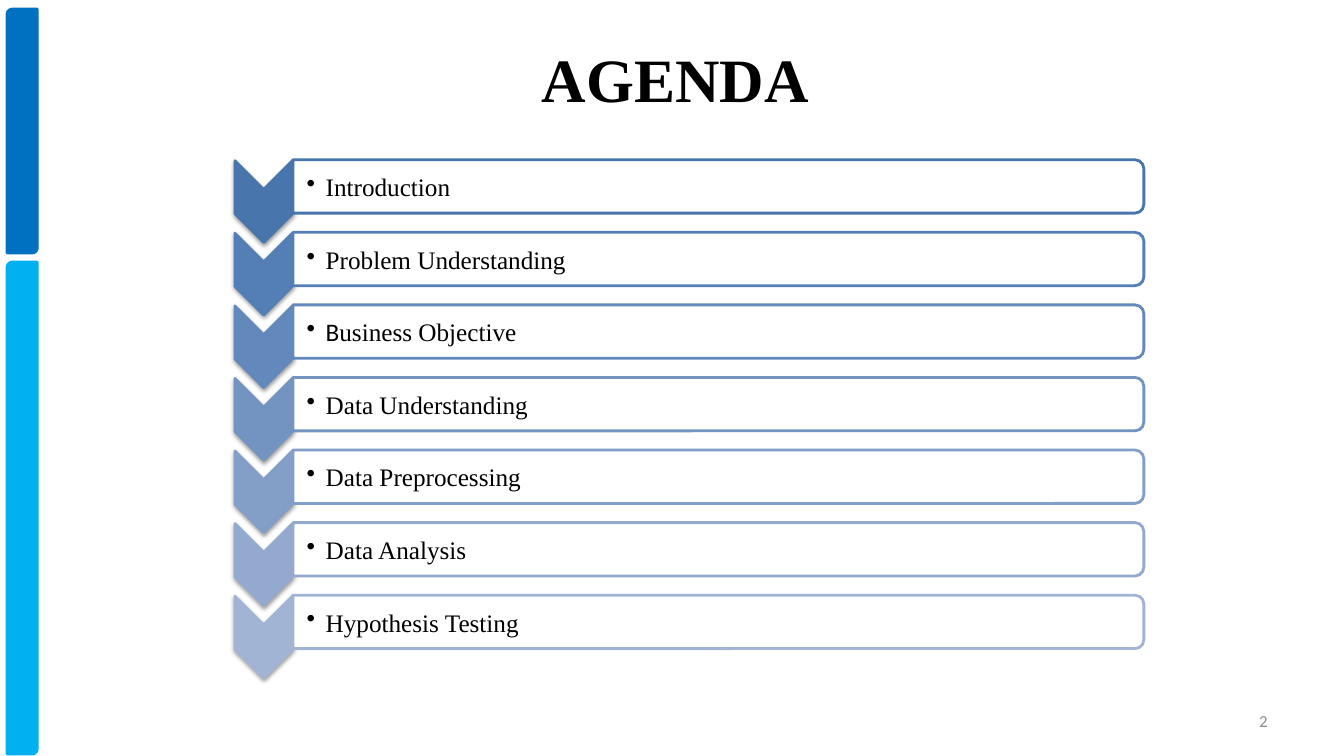
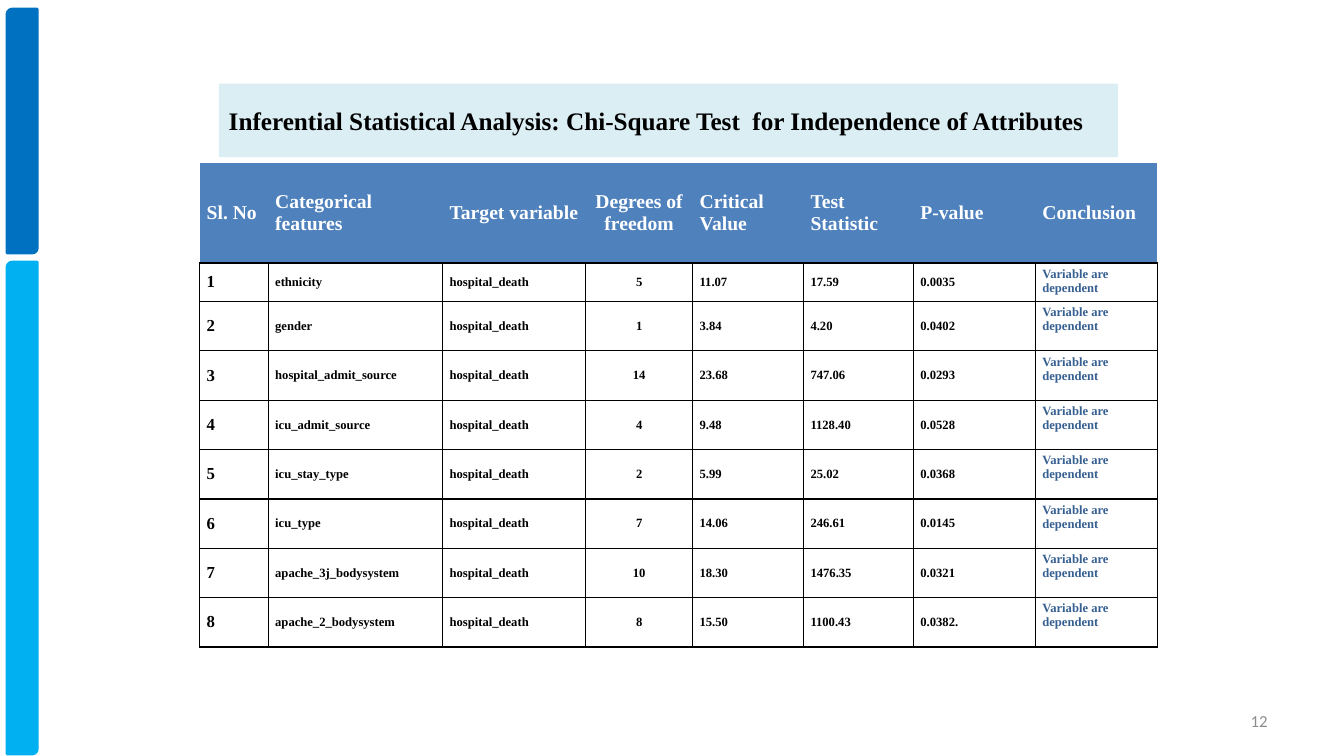
"""Build an agenda slide and a chi-square results slide."""
from lxml import etree
from pptx import Presentation
from pptx.dml.color import RGBColor
from pptx.enum.shapes import MSO_SHAPE
from pptx.enum.text import MSO_ANCHOR, PP_ALIGN
from pptx.oxml.ns import qn
from pptx.util import Inches, Pt

DIAG = MSO_SHAPE.ROUND_2_DIAG_RECTANGLE
TAB = MSO_SHAPE.ROUND_2_SAME_RECTANGLE
CHEVRON = MSO_SHAPE.CHEVRON
TOP, MID = MSO_ANCHOR.TOP, MSO_ANCHOR.MIDDLE
LEFT, CENTER, RIGHT = PP_ALIGN.LEFT, PP_ALIGN.CENTER, PP_ALIGN.RIGHT

THEME = {
    "serif": "Times New Roman", "sans": "Calibri",
    "black": "000000", "white": "FFFFFF", "gray": "8C8C8C",
    "pale": "DBEEF4", "head": "4F81BD", "note": "376092",
    "title": 44, "body": 18, "label": 14, "small": 12, "tiny": 9,
}

BANDS = [(0.09, 2.42, "0070C0"), (2.6, 4.88, "00B0F0")]

AGENDA = [
    ("4875AC", [("Introduction", "serif")]),
    ("537FB6", [("Problem Understanding", "serif")]),
    ("6389BC", [("B", "sans"), ("usiness Objective", "serif")]),
    ("7393C1", [("Data Understanding", "serif")]),
    ("839EC7", [("Data Preprocessing", "serif")]),
    ("93A9CE", [("Data Analysis", "serif")]),
    ("A2B4D4", [("Hypothesis Testing", "serif")]),
]
FIRST, STEP = 1.85, 0.72

TESTS_TITLE = ("Inferential Statistical Analysis: Chi-Square Test  "
               "for Independence of Attributes")
HEADS = ["Sl. No", "Categorical features", "Target variable",
         "Degrees of freedom", "Critical Value", "Test Statistic",
         "P-value", "Conclusion"]
TARGET, RESULT = "hospital_death", "Variable are dependent"
TESTS = [
    ("ethnicity", "5", "11.07", "17.59", "0.0035"),
    ("gender", "1", "3.84", "4.20", "0.0402"),
    ("hospital_admit_source", "14", "23.68", "747.06", "0.0293"),
    ("icu_admit_source", "4", "9.48", "1128.40", "0.0528"),
    ("icu_stay_type", "2", "5.99", "25.02", "0.0368"),
    ("icu_type", "7", "14.06", "246.61", "0.0145"),
    ("apache_3j_bodysystem", "10", "18.30", "1476.35", "0.0321"),
    ("apache_2_bodysystem", "8", "15.50", "1100.43", "0.0382."),
]
COLS = [0.68, 1.73, 1.42, 1.06, 1.1, 1.09, 1.21, 1.21]
ROWS = [0.99, 0.37] + [0.49] * 7
FREEDOM, VERDICT = 3, 7


def rgb(code):
    return RGBColor.from_string(code)


def assign(item, values):
    for name, value in values.items():
        setattr(item, name, value)


def child(parent, tag, **attrs):
    return etree.SubElement(parent, qn(tag), attrs)


def write(frame, runs, size, color="black", bold=False, align=LEFT):
    para = frame.paragraphs[0]
    para.alignment = align
    for text, face in runs:
        run = para.add_run()
        run.text = text
        assign(run.font, {"name": THEME[face], "size": Pt(THEME[size]),
                          "bold": bold})
        run.font.color.rgb = rgb(THEME[color])
    return para


def add_text(slide, box, runs, size, **style):
    shape = slide.shapes.add_textbox(*map(Inches, box))
    assign(shape.text_frame, {"word_wrap": True, "vertical_anchor": MID})
    return shape, write(shape.text_frame, runs, size, **style)


def add_block(slide, kind, box, fill, line, turn=0):
    shape = slide.shapes.add_shape(kind, *map(Inches, box))
    shape.rotation = turn
    shape.shadow.inherit = False
    shape.fill.solid()
    shape.fill.fore_color.rgb = rgb(fill)
    shape.line.color.rgb = rgb(line)
    shape.line.width = Pt(2)
    return shape


def add_shade(shape):
    effects = shape._element.spPr.find(qn("a:effectLst"))
    shade = child(effects, "a:outerShdw", blurRad=str(Pt(3.1)),
                  dist=str(Pt(1.6)), dir="5400000", rotWithShape="0")
    color = child(shade, "a:srgbClr", val=THEME["black"])
    child(color, "a:alpha", val="38000")


def add_base(deck, number):
    slide = deck.slides.add_slide(deck.slide_layouts[6])
    for top, high, color in BANDS:
        add_block(slide, DIAG, (0.07, top, 0.3, high), color, color)
    add_text(slide, (9.56, 6.95, 3.11, 0.4), [(number, "sans")], "small",
             color="gray", align=RIGHT)
    return slide


def add_title(slide, box, text, size, align=LEFT):
    return add_text(slide, box, [(text, "serif")], size, bold=True,
                    align=align)[0]


def add_item(slide, mid, color, runs):
    arrow = add_block(slide, CHEVRON, (2.21, mid - 0.14 + 0.005, 0.81, 0.57),
                      color, color, 90)
    add_shade(arrow)
    add_block(slide, TAB, (6.86, mid - 4.22, 0.53, 8.44),
              THEME["white"], color, 90)
    shape, para = add_text(slide, (2.9, mid - 0.24, 8.42, 0.48), runs, "body")
    edge = Inches(0.01)
    assign(shape.text_frame, {"margin_left": Inches(0.14), "margin_top": edge,
                              "margin_right": edge, "margin_bottom": edge})
    props = para._p.get_or_add_pPr()
    props.set("marL", str(Inches(0.19)))
    props.set("indent", str(-Inches(0.19)))
    child(props, "a:buChar", char="•")


def set_edges(cell, sides):
    props = cell._tc.get_or_add_tcPr()
    for side in "LRTB":
        line = child(props, f"a:ln{side}", w=str(Pt(1)))
        if side in sides:
            fill = child(line, "a:solidFill")
            child(fill, "a:srgbClr", val=THEME["black"])
        else:
            child(line, "a:noFill")


def set_cell(cell, text, row, col):
    head = row == 0
    last = not head and col == VERDICT
    assign(cell, {"margin_left": Inches(0.07), "margin_right": Inches(0.07),
                  "margin_top": Inches(0.04), "margin_bottom": Inches(0.04),
                  "vertical_anchor": TOP if last else MID})
    size = "label" if head else "tiny" if col else "small"
    color = "white" if head else "note" if last else "black"
    write(cell.text_frame, [(text, "serif")], size, color, True,
          CENTER if col == FREEDOM else LEFT)
    set_edges(cell, "B" if head else "LRTB")
    if head:
        cell.fill.solid()
        cell.fill.fore_color.rgb = rgb(THEME["head"])
    else:
        cell.fill.background()


def add_tests(slide):
    data = [HEADS] + [(str(num), name, TARGET, *stats, RESULT)
                      for num, (name, *stats) in enumerate(TESTS, 1)]
    box = (1.98, 1.62, sum(COLS), sum(ROWS))
    table = slide.shapes.add_table(len(ROWS), len(COLS),
                                   *map(Inches, box)).table
    for col, wide in zip(table.columns, COLS):
        col.width = Inches(wide)
    for row, high in zip(table.rows, ROWS):
        row.height = Inches(high)
    for row, texts in enumerate(data):
        for col, text in enumerate(texts):
            set_cell(table.cell(row, col), text, row, col)


def main():
    deck = Presentation()
    assign(deck, {"slide_width": Inches(13.33), "slide_height": Inches(7.5)})

    agenda = add_base(deck, "2")
    add_title(agenda, (2.23, 0.29, 8.94, 0.96), "AGENDA", "title", CENTER)
    for index, (color, runs) in enumerate(AGENDA):
        add_item(agenda, FIRST + index * STEP, color, runs)

    tests = add_base(deck, "12")
    title = add_title(tests, (2.17, 0.83, 8.92, 0.73), TESTS_TITLE, "body")
    title.fill.solid()
    title.fill.fore_color.rgb = rgb(THEME["pale"])
    add_tests(tests)

    deck.save("out.pptx")


if __name__ == "__main__":
    main()
